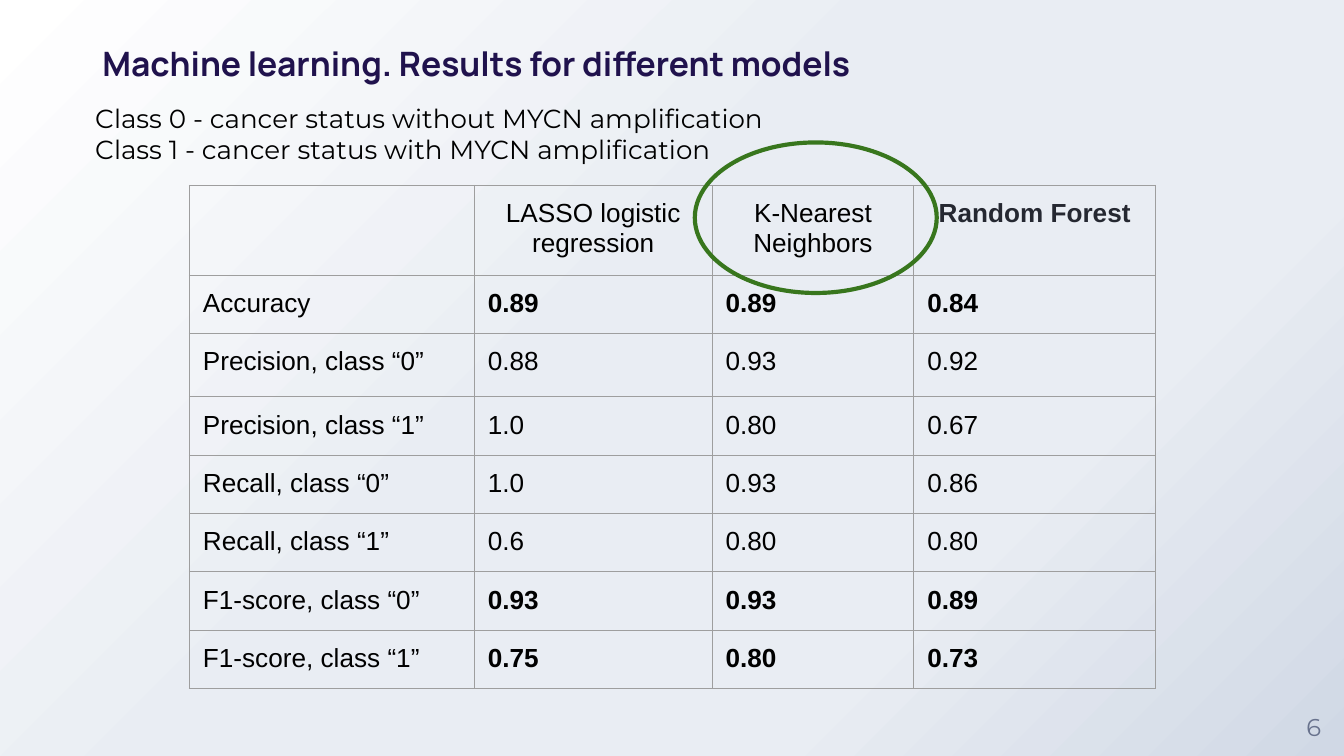
"""Build a slide that compares the scores of three machine learning models."""
from lxml import etree
from pptx import Presentation
from pptx.dml.color import RGBColor
from pptx.enum.shapes import MSO_SHAPE
from pptx.enum.text import MSO_ANCHOR, PP_ALIGN
from pptx.oxml.ns import qn
from pptx.util import Inches, Pt

OVAL = MSO_SHAPE.OVAL
MIDDLE, BOTTOM = MSO_ANCHOR.MIDDLE, MSO_ANCHOR.BOTTOM
LEFT, CENTER = PP_ALIGN.LEFT, PP_ALIGN.CENTER
STOPS = [(0, "FFFFFF"), (44, "E9EDF3"), (72, "E9EDF3"), (100, "D0D8E5")]
WIDTHS = [2.12, 1.77, 1.5, 1.8]
HEIGHTS = [0.67, 0.43, 0.47] + [0.43] * 5
ROWS = [
    ["", "LASSO logistic regression", "K-Nearest Neighbors", "Random Forest"],
    ["Accuracy", "0.89", "0.89", "0.84"],
    ["Precision, class “0”", "0.88", "0.93", "0.92"],
    ["Precision, class “1”", "1.0", "0.80", "0.67"],
    ["Recall, class “0”", "1.0", "0.93", "0.86"],
    ["Recall, class “1”", "0.6", "0.80", "0.80"],
    ["F1-score, class “0”", "0.93", "0.93", "0.89"],
    ["F1-score, class “1”", "0.75", "0.80", "0.73"],
]
BOLD_ROWS = (1, 6, 7)


def color(text):
    return RGBColor.from_string(text)


def write(frame, text, font, size, ink, align=LEFT, bold=False, inset=0.1):
    frame.text = text
    frame.word_wrap = True
    frame.margin_left = frame.margin_right = Inches(inset)
    frame.margin_top = frame.margin_bottom = Inches(inset)
    for para in frame.paragraphs:
        para.alignment = align
        for run in para.runs:
            run.font.name = font
            run.font.size = Pt(size)
            run.font.bold = bold
            run.font.color.rgb = color(ink)


deck = Presentation()
deck.slide_width, deck.slide_height = Inches(10), Inches(5.625)
slide = deck.slides.add_slide(deck.slide_layouts[5])
shapes = slide.shapes

fill = slide.background.fill
fill.gradient()
fill.gradient_angle = 315
stops = slide.element.find(".//" + qn("a:gsLst"))
stops.clear()
for place, tint in STOPS:
    stop = etree.SubElement(stops, qn("a:gs"), pos=str(place * 1000))
    etree.SubElement(stop, qn("a:srgbClr"), val=tint)

title = shapes.title
title.left, title.top = Inches(0.12), Inches(0.17)
title.width, title.height = Inches(6.85), Inches(0.45)
write(title.text_frame, "Machine learning. Results for different models",
      "Manrope", 18, "20124D", CENTER, True, 0)
title.text_frame.vertical_anchor = BOTTOM

number = shapes.add_textbox(Inches(9.55), Inches(5.18), Inches(0.45), Inches(0.45))
write(number.text_frame, "6", "Montserrat", 13, "68728D", CENTER, inset=0)
number.text_frame.vertical_anchor = MIDDLE

table = shapes.add_table(len(ROWS), len(WIDTHS), Inches(1.41), Inches(1.38),
                         Inches(sum(WIDTHS)), Inches(sum(HEIGHTS))).table
for column, width in zip(table.columns, WIDTHS):
    column.width = Inches(width)
for row, height in zip(table.rows, HEIGHTS):
    row.height = Inches(height)
for r, row in enumerate(ROWS):
    for c, text in enumerate(row):
        cell = table.cell(r, c)
        last = r == 0 and c == 3
        write(cell.text_frame, text, "Arial", 14, "252831" if last else "000000",
              LEFT if r else CENTER, last or (r in BOLD_ROWS and c > 0))
        cell.margin_left = cell.margin_right = Inches(0.1)
        cell.margin_top = cell.margin_bottom = Inches(0.1)
        props = cell._tc.get_or_add_tcPr()
        for side in ("a:lnL", "a:lnR", "a:lnT", "a:lnB"):
            edge = etree.SubElement(props, qn(side), w=str(Pt(0.75)))
            paint = etree.SubElement(edge, qn("a:solidFill"))
            etree.SubElement(paint, qn("a:srgbClr"), val="9E9E9E")
        cell.fill.background()

ring = shapes.add_shape(OVAL, Inches(5.17), Inches(1.06), Inches(1.8), Inches(1.12))
ring.shadow.inherit = False
ring.fill.background()
ring.line.color.rgb = color("38761D")
ring.line.width = Pt(2.25)

legend = shapes.add_textbox(Inches(0.61), Inches(0.66), Inches(5.85), Inches(0.67))
write(legend.text_frame, "Class 0 - cancer status without MYCN amplification\n"
      "Class 1 - cancer status with MYCN amplification", "Montserrat", 14, "000000")

deck.save("out.pptx")
